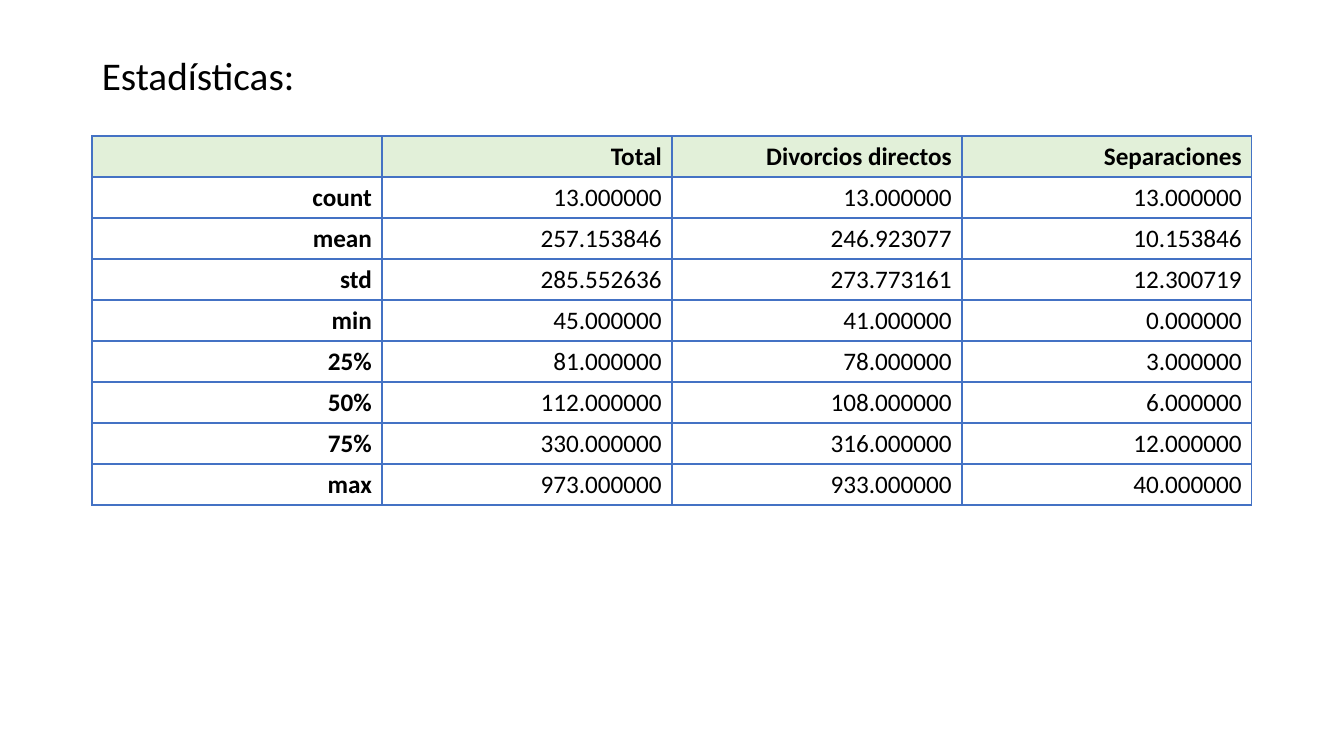
from lxml import etree
from pptx import Presentation
from pptx import util as u
from pptx.dml import color
from pptx.enum import text
from pptx.oxml import ns

PX_PER_INCH = 100.8
FONT = "Calibri"
BLACK, WHITE, GREEN, BLUE = "000000", "FFFFFF", "E2F0D9", "4472C4"

LEFT, WIDTH = 92, 1160
TITLE_TOP, TITLE_HEIGHT = 40, 75
TABLE_TOP, ROW_HEIGHT = 136, 41

STATISTICS = [
    ["", "Total", "Divorcios directos", "Separaciones"],
    ["count", "13.000000", "13.000000", "13.000000"],
    ["mean", "257.153846", "246.923077", "10.153846"],
    ["std", "285.552636", "273.773161", "12.300719"],
    ["min", "45.000000", "41.000000", "0.000000"],
    ["25%", "81.000000", "78.000000", "3.000000"],
    ["50%", "112.000000", "108.000000", "6.000000"],
    ["75%", "330.000000", "316.000000", "12.000000"],
    ["max", "973.000000", "933.000000", "40.000000"],
]


def px(length):
    return u.Inches(length / PX_PER_INCH)


def rgb(hex_color):
    return color.RGBColor.from_string(hex_color)


def set_format(target, values):
    for name, value in values.items():
        setattr(target, name, value)


def write_text(para, words, size, bold=False):
    span = para.add_run()
    span.text = words
    set_format(span.font, {"name": FONT, "size": u.Pt(size), "bold": bold})
    span.font.color.rgb = rgb(BLACK)


def add_title(page, words):
    box = page.shapes.add_textbox(px(LEFT), px(TITLE_TOP), px(WIDTH), px(TITLE_HEIGHT))
    frame = box.text_frame
    set_format(frame, {"word_wrap": True, "vertical_anchor": text.MSO_ANCHOR.MIDDLE})
    para = frame.paragraphs[0]
    para.line_spacing = 0.9
    write_text(para, words, 28)


def add_borders(cell, hex_color, points):
    properties = cell._tc.get_or_add_tcPr()
    for side in ("lnL", "lnR", "lnT", "lnB"):
        line = etree.SubElement(properties, ns.qn(f"a:{side}"), w=str(u.Pt(points)))
        fill = etree.SubElement(line, ns.qn("a:solidFill"))
        etree.SubElement(fill, ns.qn("a:srgbClr"), val=hex_color)


def fill_cell(cell, words, background, bold):
    add_borders(cell, BLUE, 1)
    cell.fill.solid()
    cell.fill.fore_color.rgb = rgb(background)
    cell.vertical_anchor = text.MSO_ANCHOR.MIDDLE
    para = cell.text_frame.paragraphs[0]
    para.alignment = text.PP_ALIGN.RIGHT
    if words:
        write_text(para, words, 18, bold)


def add_statistics(page, rows):
    columns = len(rows[0])
    frame = page.shapes.add_table(len(rows), columns, px(LEFT), px(TABLE_TOP),
                                  px(WIDTH), px(ROW_HEIGHT * len(rows)))
    table = frame.table
    set_format(table, {"first_row": False, "horz_banding": False})
    for column in table.columns:
        column.width = px(WIDTH // columns)
    for r, row in enumerate(rows):
        table.rows[r].height = px(ROW_HEIGHT)
        for c, words in enumerate(row):
            background = GREEN if r == 0 else WHITE
            fill_cell(table.cell(r, c), words, background, bold=r == 0 or c == 0)


def main():
    deck = Presentation()
    set_format(deck, {"slide_width": px(1344), "slide_height": px(756)})
    page = deck.slides.add_slide(deck.slide_layouts[6])

    # Heading
    add_title(page, "Estadísticas:")

    # Summary table
    add_statistics(page, STATISTICS)

    deck.save("out.pptx")


if __name__ == "__main__":
    main()
